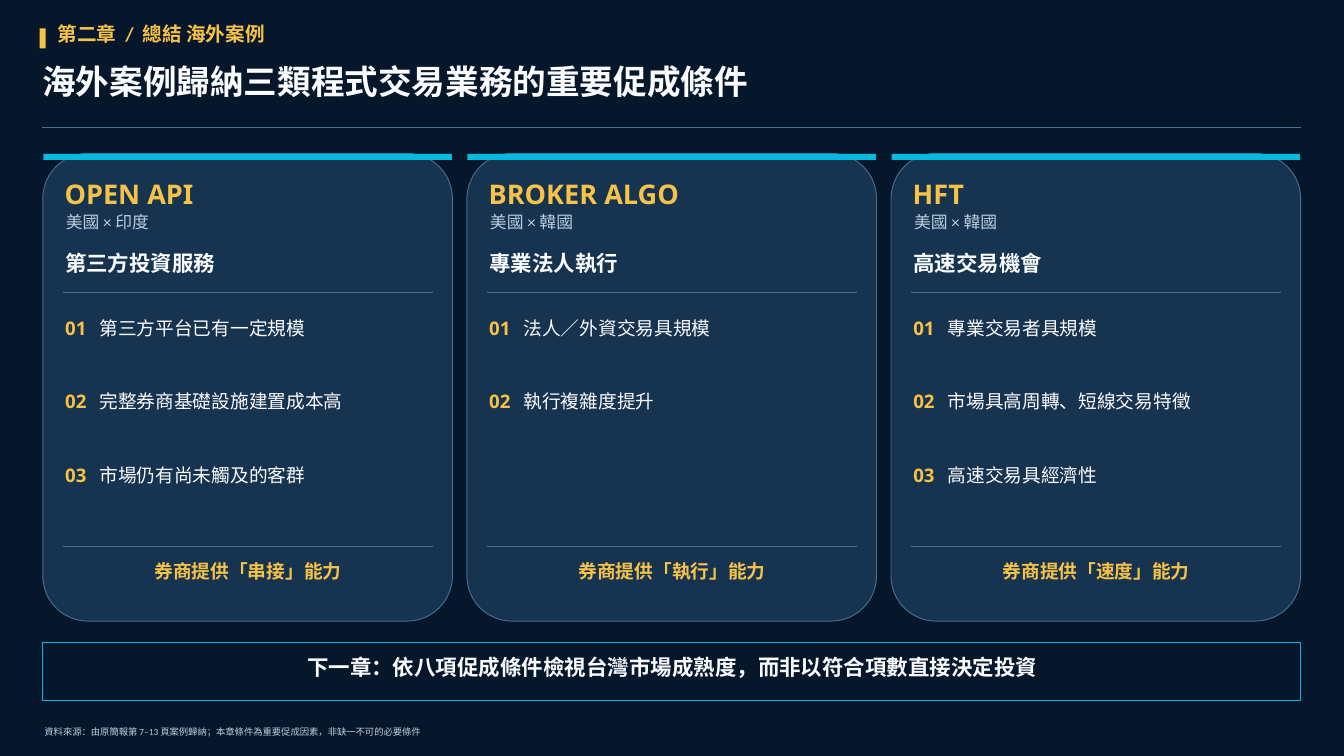
import pptx
import pptx.util
import pptx.dml.color
import pptx.enum.shapes
import pptx.enum.text
import pptx.oxml.ns
from lxml import etree

Cm, Pt = pptx.util.Cm, pptx.util.Pt
RGB = pptx.dml.color.RGBColor.from_string
KIND = pptx.enum.shapes.MSO_SHAPE
LEFT, CENTER = pptx.enum.text.PP_ALIGN.LEFT, pptx.enum.text.PP_ALIGN.CENTER

HUES = {"navy": "06172B", "card": "16334F", "rule": "467192", "cyan": "00BBDE",
        "gold": "F6C247", "white": "FAFCFF", "mist": "BACEDF"}

# style: colour, then font values
STYLES = {
    "kicker": ("gold", {"size": Pt(21), "name": "Calibri", "bold": True}),
    "title": ("white", {"size": Pt(36), "name": "Calibri", "bold": True}),
    "name": ("gold", {"size": Pt(29), "name": "Noto Sans", "bold": True}),
    "market": ("mist", {"size": Pt(18), "name": "Calibri", "bold": False}),
    "topic": ("white", {"size": Pt(23), "name": "Calibri", "bold": True}),
    "number": ("gold", {"size": Pt(20), "name": "Noto Sans", "bold": True}),
    "item": ("white", {"size": Pt(20), "name": "Calibri", "bold": False}),
    "skill": ("gold", {"size": Pt(20), "name": "Calibri", "bold": True}),
    "source": ("mist", {"size": Pt(10), "name": "Calibri", "bold": False}),
}

CARDS = [
    ("OPEN API", "美國 × 印度", "第三方投資服務",
     ["第三方平台已有一定規模", "完整券商基礎設施建置成本高", "市場仍有尚未觸及的客群"],
     "券商提供「串接」能力"),
    ("BROKER ALGO", "美國 × 韓國", "專業法人執行",
     ["法人／外資交易具規模", "執行複雜度提升"],
     "券商提供「執行」能力"),
    ("HFT", "美國 × 韓國", "高速交易機會",
     ["專業交易者具規模", "市場具高周轉、短線交易特徵", "高速交易具經濟性"],
     "券商提供「速度」能力"),
]

deck = pptx.Presentation()
deck.slide_width, deck.slide_height = Cm(50.8), Cm(28.58)
slide = deck.slides.add_slide(deck.slide_layouts.get_by_name("Comparison"))
slide.background.fill.solid()
slide.background.fill.fore_color.rgb = RGB(HUES["navy"])
shapes = slide.shapes
title, kicker, *lists = slide.placeholders


def block(kind, at, fill, line=None, width=1):
    shape = shapes.add_shape(kind, *map(Cm, at))
    shape.shadow.inherit = False
    shape.fill.solid()
    shape.fill.fore_color.rgb = RGB(HUES[fill])
    if line:
        shape.line.color.rgb = RGB(HUES[line])
        shape.line.width = Pt(width)
    else:
        shape.line.fill.background()
    return shape


def write(at, rows, lead, align=LEFT, box=None, gap=0, hang=0):
    """Put rows of (text, style) runs in a placeholder, or in a new text box."""
    box = box or shapes.add_textbox(0, 0, 0, 0)
    shapes._spTree.append(box._element)  # in front of the cards
    for side, size in zip(("left", "top", "width", "height"), at):
        setattr(box, side, Cm(size))
    frame = box.text_frame
    form = {"word_wrap": True, "auto_size": pptx.enum.text.MSO_AUTO_SIZE.NONE,
            "vertical_anchor": pptx.enum.text.MSO_ANCHOR.TOP,
            "margin_left": 0, "margin_top": 0, "margin_right": 0, "margin_bottom": 0}
    for key, value in form.items():
        setattr(frame, key, value)
    for i, row in enumerate(rows):
        para = frame.add_paragraph() if i else frame.paragraphs[0]
        props = para._p.get_or_add_pPr()
        props.set("marL", str(Cm(hang)))
        props.set("indent", str(-Cm(hang)))
        etree.SubElement(props, pptx.oxml.ns.qn("a:buNone"))
        para.alignment, para.line_spacing = align, Pt(lead)
        para.space_before = Pt(gap if i else 0)
        for text, style in row:
            run = para.add_run()
            run.text = text
            hue, font = STYLES[style]
            run.font.color.rgb = RGB(HUES[hue])
            for key, value in font.items():
                setattr(run.font, key, value)


# Header
block(KIND.RECTANGLE, (1.5, 1.07, 0.23, 0.76), "gold")
write((2.18, 0.81, 25.4, 1.19), [[("第二章  /  總結 海外案例", "kicker")]], 25.2, box=kicker)
write((1.6, 2.31, 47.88, 1.9), [[("海外案例歸納三類程式交易業務的重要促成條件", "title")]],
      43.2, box=title)
rules = [(1.6, 49.17, 4.81)]

# Cards
for i, (name, market, topic, items, skill) in enumerate(CARDS):
    x = 1.62 + 16.03 * i
    card = block(KIND.ROUNDED_RECTANGLE, (x, 5.8, 15.48, 17.68), "card", "rule")
    card.adjustments[0] = 0.11
    block(KIND.RECTANGLE, (x + 0.02, 5.82, 15.44, 0.23), "cyan")
    write((x + 0.82, 6.71, 13.87, 1.27), [[(name, "name")]], 34.8)
    write((x + 0.87, 8, 13.77, 1.04), [[(market, "market")]], 21.6)
    write((x + 0.84, 9.47, 13.8, 1.2), [[(topic, "topic")]], 27.6)
    rows = [[(f"{n:02}", "number"), ("\t" + item, "item")]
            for n, item in enumerate(items, 1)]
    write((x + 0.84, 11.97, 13.8, 7.8), rows, 24, box=lists[i], gap=54.8, hang=1.3)
    write((x + 0.62, 21.16, 14.27, 1.22), [[(skill, "skill")]], 24, CENTER)
    rules += [(x + 0.75, x + 14.75, y) for y in (11.06, 20.64)]

for start, end, y in rules:
    rule = shapes.add_connector(pptx.enum.shapes.MSO_CONNECTOR.STRAIGHT,
                                Cm(start), Cm(y), Cm(end), Cm(y))
    rule.line.color.rgb = RGB(HUES["rule"])
    rule.line.width = Pt(0.75)
    etree.SubElement(rule._element.spPr, pptx.oxml.ns.qn("a:effectLst"))

# Footer
block(KIND.RECTANGLE, (1.62, 24.28, 47.55, 2.21), "navy", "cyan", 1.3)
write((2.31, 24.71, 46.23, 1.42),
      [[("下一章：依八項促成條件檢視台灣市場成熟度，而非以符合項數直接決定投資", "topic")]],
      27.6, CENTER)
write((1.68, 27.46, 47.12, 0.56),
      [[("資料來源：由原簡報第 7–13 頁案例歸納；本章條件為重要促成因素，非缺一不可的必要條件", "source")]], 12)

deck.save("out.pptx")
